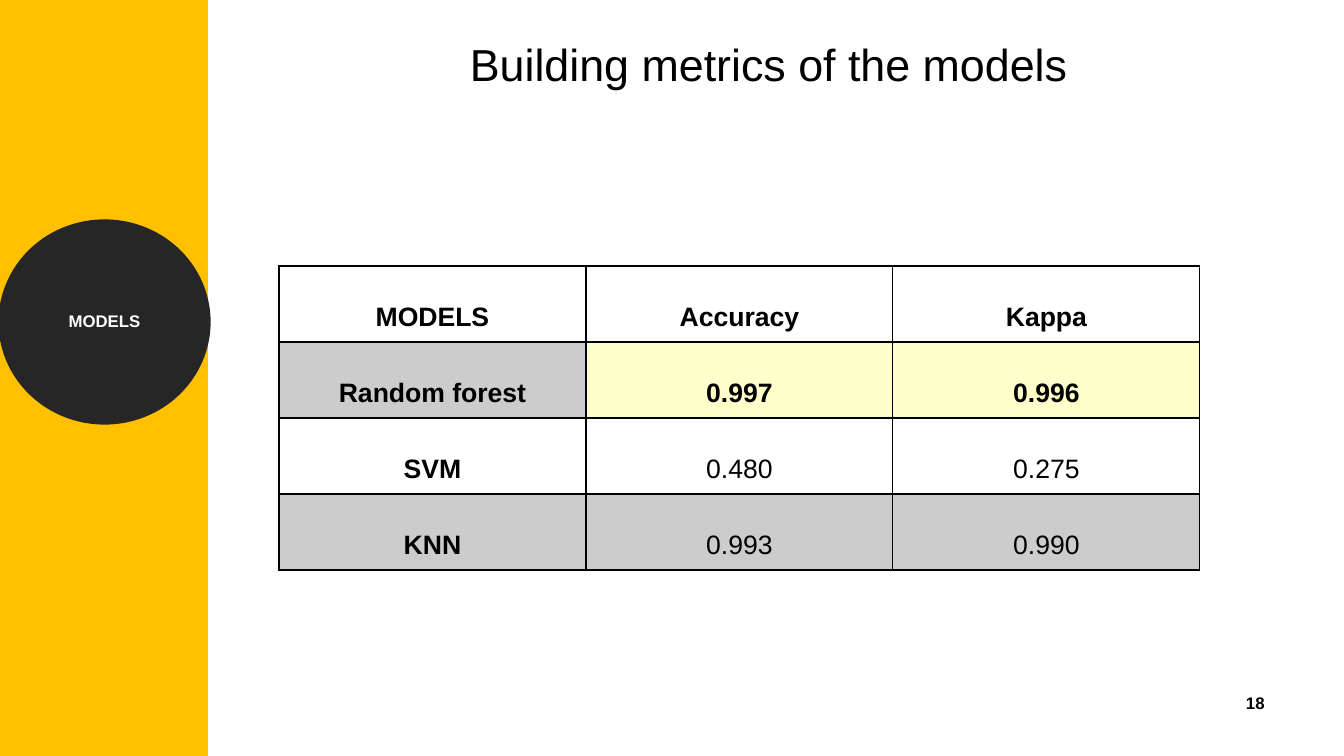
from dataclasses import dataclass

from lxml.etree import SubElement
from pptx import Presentation
from pptx.dml.color import RGBColor
from pptx.enum.shapes import MSO_SHAPE
from pptx.enum.text import MSO_ANCHOR, PP_ALIGN
from pptx.oxml.ns import qn
from pptx.util import Emu, Pt


@dataclass(frozen=True)
class Theme:
    font: str = "Arial"
    black: str = "000000"
    white: str = "FFFFFF"
    amber: str = "FFC000"
    charcoal: str = "262626"
    yellow: str = "FFFF00"
    tint_alpha: int = 20
    title_size: int = 32
    table_size: int = 19
    small_size: int = 12
    badge_line: float = 13.75


THEME = Theme()
HEADINGS = ("MODELS", "Accuracy", "Kappa")
RESULTS = (
    ("Random forest", "0.997", "0.996"),
    ("SVM", "0.480", "0.275"),
    ("KNN", "0.993", "0.990"),
)
BEST_ROW = 1


def px(length):
    return Emu(round(length * 914400 / 100.8))


def rgb(color):
    return RGBColor.from_string(color)


def write(frame, text, size, color=THEME.black, bold=False,
          align=PP_ALIGN.CENTER, line_spacing=None):
    para = frame.paragraphs[0]
    para.alignment = align
    para.line_spacing = line_spacing
    span = para.add_run()
    span.text = text
    span.font.name = THEME.font
    span.font.size = Pt(size)
    span.font.bold = bold
    span.font.color.rgb = rgb(color)


def add_text(page, bounds, text, size, wrap=True, side_inset=0, **text_format):
    box = page.shapes.add_textbox(*map(px, bounds))
    frame = box.text_frame
    frame.word_wrap = wrap
    frame.margin_left = frame.margin_right = px(side_inset)
    write(frame, text, size, **text_format)


def add_solid(page, kind, bounds, color, line_width=None):
    shape = page.shapes.add_shape(kind, *map(px, bounds))
    shape.shadow.inherit = False
    shape.fill.solid()
    shape.fill.fore_color.rgb = rgb(color)
    if line_width is None:
        shape.line.fill.background()
    else:
        shape.line.color.rgb = rgb(color)
        shape.line.width = Pt(line_width)
    return shape


def add_badge(page, bounds, text):
    badge = add_solid(page, MSO_SHAPE.OVAL, bounds, THEME.charcoal, THEME.badge_line)
    badge.text_frame.word_wrap = True
    badge.text_frame.vertical_anchor = MSO_ANCHOR.MIDDLE
    write(badge.text_frame, text, THEME.small_size, color=THEME.white,
          bold=True, line_spacing=0.9)
    badge.text_frame.paragraphs[0].space_after = Pt(6)


def set_borders(cell, widths):
    """Draw the left, right, top and bottom borders, ahead of the cell's fill."""
    properties = cell._tc.get_or_add_tcPr()
    for index, (side, width) in enumerate(zip("LRTB", widths)):
        line = SubElement(properties, qn(f"a:ln{side}"), w=str(Pt(width)))
        fill = SubElement(line, qn("a:solidFill"))
        SubElement(fill, qn("a:srgbClr"), val=THEME.black)
        properties.insert(index, line)


def tint(cell, color):
    cell.fill.solid()
    cell.fill.fore_color.rgb = rgb(color)
    color_element = cell._tc.tcPr.find(f"{qn('a:solidFill')}/{qn('a:srgbClr')}")
    SubElement(color_element, qn("a:alpha"), val=str(THEME.tint_alpha * 1000))


def fill_cell(cell, row, column):
    if row == BEST_ROW and column > 0:
        tint(cell, THEME.yellow)
    elif row % 2:
        tint(cell, THEME.black)
    else:
        cell.fill.background()


def add_metrics_table(page, left, top, column_width, row_height):
    rows = (HEADINGS, *RESULTS)
    columns = len(HEADINGS)
    table = page.shapes.add_table(
        len(rows), columns, px(left), px(top),
        px(column_width * columns), px(row_height * len(rows))).table
    table.first_row = table.horz_banding = False
    for column in table.columns:
        column.width = px(column_width)
    for row, values in enumerate(rows):
        table.rows[row].height = px(row_height)
        for column, value in enumerate(values):
            cell = table.cell(row, column)
            cell.margin_left = cell.margin_right = px(12)
            cell.margin_top, cell.margin_bottom = px(36), px(6)
            write(cell.text_frame, value, THEME.table_size,
                  bold=row <= BEST_ROW or column == 0)
            fill_cell(cell, row, column)
            set_borders(cell, (1, 1, 2 if row == 1 else 1, 2 if row == 0 else 1))


def main():
    deck = Presentation()
    deck.slide_width, deck.slide_height = px(1344), px(756)
    page = deck.slides.add_slide(deck.slide_layouts[6])

    add_text(page, (1236, 688, 40, 30), "18", THEME.small_size, wrap=False,
             side_inset=10, bold=True, align=PP_ALIGN.LEFT)
    add_metrics_table(page, left=279, top=266, column_width=307, row_height=76)
    add_solid(page, MSO_SHAPE.RECTANGLE, (0, 0, 208, 756), THEME.amber)
    add_text(page, (208, 38, 1122, 54), "Building metrics of the models",
             THEME.title_size, line_spacing=0.9)
    add_badge(page, (8, 229, 193, 186), "MODELS")

    deck.save("out.pptx")


if __name__ == "__main__":
    main()
